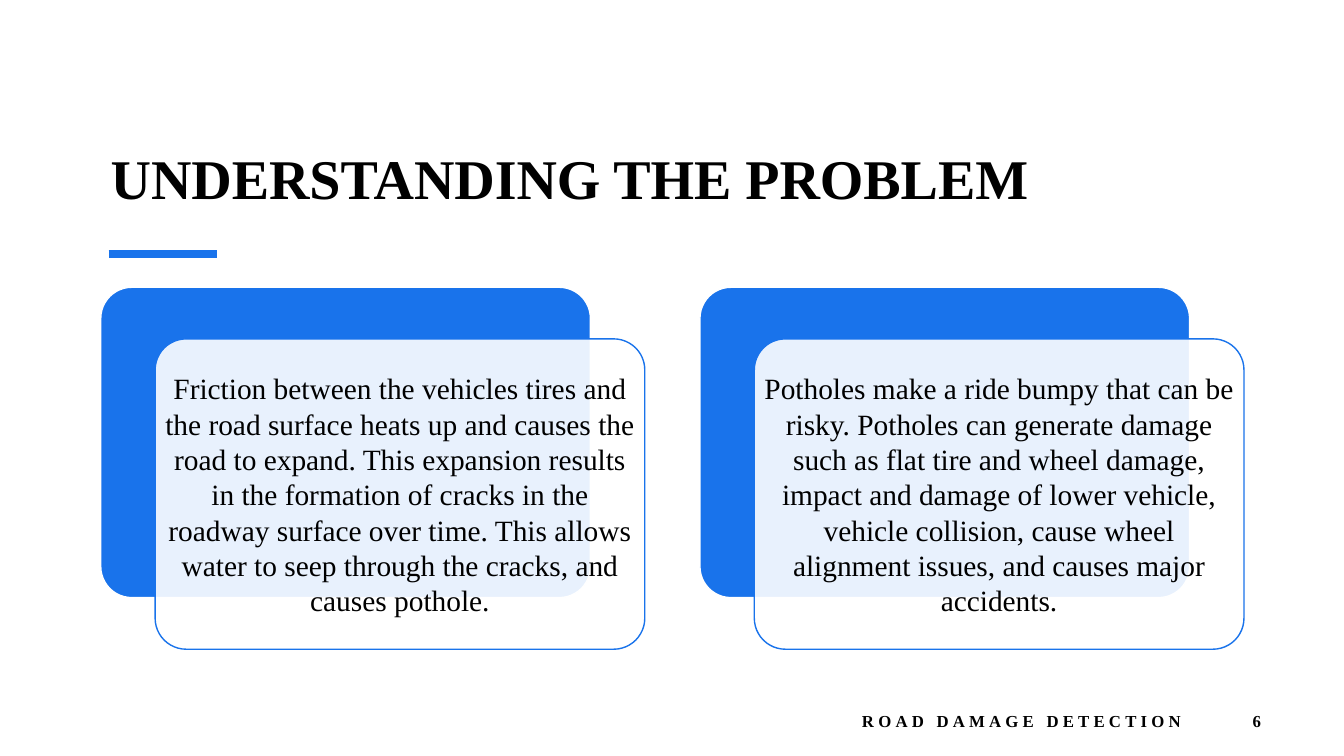
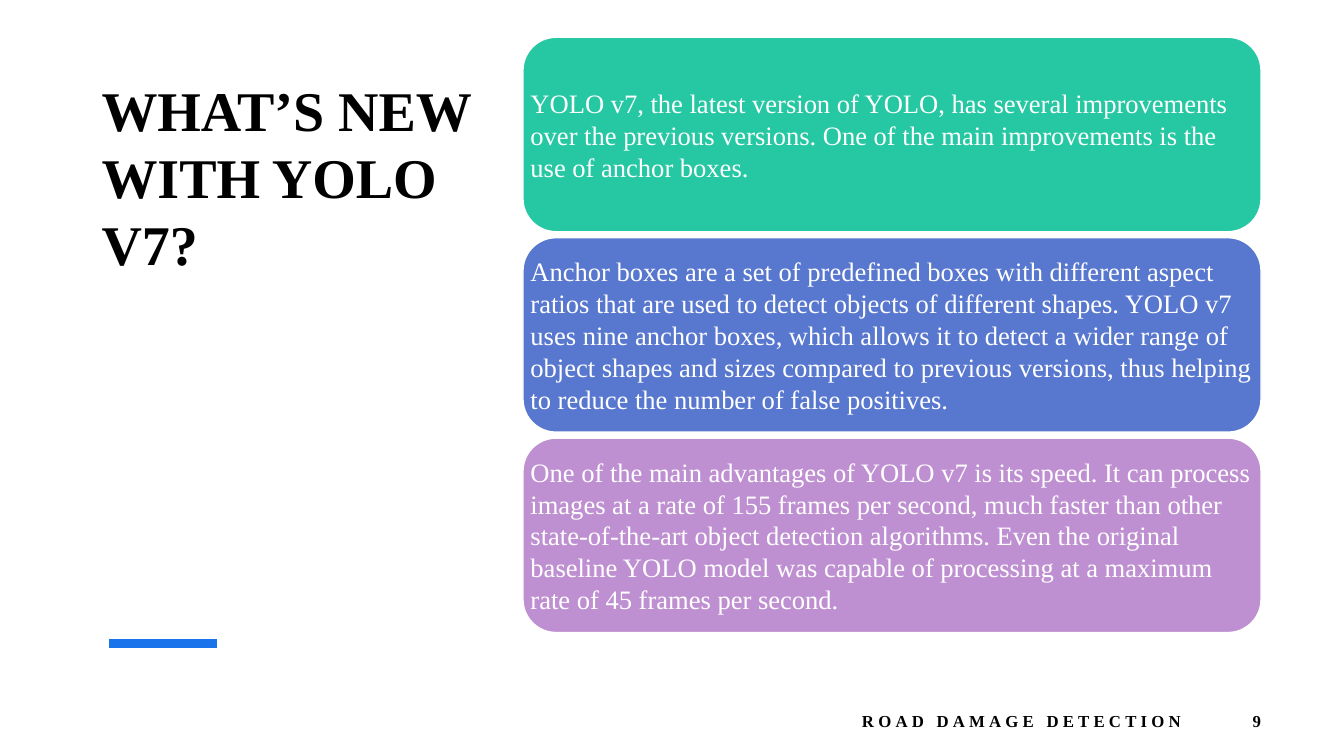
from lxml.etree import SubElement
from pptx import Presentation
from pptx.dml.color import RGBColor
from pptx.enum.shapes import MSO_CONNECTOR, MSO_SHAPE
from pptx.enum.text import MSO_ANCHOR, PP_ALIGN
from pptx.oxml.ns import qn
from pptx.util import Cm, Pt

BLACK = RGBColor(0x00, 0x00, 0x00)
WHITE = RGBColor(0xFF, 0xFF, 0xFF)
BLUE = RGBColor(0x19, 0x73, 0xEB)
GREEN = RGBColor(0x25, 0xC8, 0xA2)
INDIGO = RGBColor(0x58, 0x77, 0xCF)
LILAC = RGBColor(0xBF, 0x90, 0xD1)
FONT = "Times New Roman"
FOOTER = "ROAD DAMAGE DETECTION"

PROBLEMS = [
    "Friction between the vehicles tires and the road surface heats up and causes "
    "the road to expand. This expansion results in the formation of cracks in the "
    "roadway surface over time. This allows water to seep through the cracks, and "
    "causes pothole.",
    "Potholes make a ride bumpy that can be risky. Potholes can generate damage "
    "such as flat tire and wheel damage, impact and damage of lower vehicle, "
    "vehicle collision, cause wheel alignment issues, and causes major accidents.",
]
NEWS = [
    (GREEN,
     "YOLO v7, the latest version of YOLO, has several improvements over the "
     "previous versions. One of the main improvements is the use of anchor boxes."),
    (INDIGO,
     "Anchor boxes are a set of predefined boxes with different aspect ratios that "
     "are used to detect objects of different shapes. YOLO v7 uses nine anchor "
     "boxes, which allows it to detect a wider range of object shapes and sizes "
     "compared to previous versions, thus helping to reduce the number of false "
     "positives."),
    (LILAC,
     "One of the main advantages of YOLO v7 is its speed. It can process images at "
     "a rate of 155 frames per second, much faster than other state-of-the-art "
     "object detection algorithms. Even the original baseline YOLO model was "
     "capable of processing at a maximum rate of 45 frames per second."),
]


def add_text(s, box, text, size, color=BLACK, bold=False, align=PP_ALIGN.LEFT,
             anchor=MSO_ANCHOR.MIDDLE, inset=None, spacing=None):
    sp = s.shapes.add_textbox(*map(Cm, box))
    tf = sp.text_frame
    tf.word_wrap = True
    tf.vertical_anchor = anchor
    if inset is not None:
        tf.margin_left = tf.margin_right = Cm(inset)
        tf.margin_top = tf.margin_bottom = Cm(inset)
    p = tf.paragraphs[0]
    p.alignment = align
    p.line_spacing = Pt(size * 1.2)
    r = p.add_run()
    r.text = text
    r.font.name = FONT
    r.font.size = Pt(size)
    r.font.bold = bold
    r.font.color.rgb = color
    if spacing:
        r._r.get_or_add_rPr().set("spc", str(spacing * 100))


def add_panel(s, box, fill, line=WHITE, radius=0.1, opacity=100):
    sp = s.shapes.add_shape(MSO_SHAPE.ROUNDED_RECTANGLE, *map(Cm, box))
    sp.adjustments[0] = radius
    sp.shadow.inherit = False
    sp.fill.solid()
    sp.fill.fore_color.rgb = fill
    sp.line.color.rgb = line
    sp.line.width = Pt(1)
    if opacity < 100:
        color = sp._element.spPr.find(qn("a:solidFill")).find(qn("a:srgbClr"))
        SubElement(color, qn("a:alpha")).set("val", str(opacity * 1000))


def add_accent(s, y):
    line = s.shapes.add_connector(
        MSO_CONNECTOR.STRAIGHT, Cm(2.74), Cm(y), Cm(5.46), Cm(y))
    line.line.color.rgb = BLUE
    line.line.width = Pt(6)
    SubElement(line._element.spPr, qn("a:effectLst"))


def add_page(prs, title, title_box, accent_y, number):
    s = prs.slides.add_slide(prs.slide_layouts[6])
    add_text(s, title_box, title, 40, bold=True, anchor=MSO_ANCHOR.BOTTOM)
    add_accent(s, accent_y)
    for left, width, text in ((30.02, 2.01, str(number)), (18.8, 11.22, FOOTER)):
        add_text(s, (left, 17.65, width, 1.02), text, 12, bold=True,
                 align=PP_ALIGN.RIGHT, spacing=3)
    return s


def add_problem_cards(s):
    width, height = 12.34, 7.82
    for i, text in enumerate(PROBLEMS):
        left, top = 2.54 + i * 15.1, 7.24
        front = (left + 1.37, top + 1.3, width, height)
        add_panel(s, (left, top, width, height), BLUE)
        add_panel(s, front, WHITE, BLUE, opacity=90)
        add_text(s, front, text, 21, align=PP_ALIGN.CENTER, inset=0.23)


def add_news_panels(s):
    for i, (fill, text) in enumerate(NEWS):
        box = (13.18, 0.94 + i * 5.05, 18.6, 4.9)
        add_panel(s, box, fill, radius=0.17)
        add_text(s, box, text, 19, WHITE, inset=0.19)


def main():
    prs = Presentation()
    prs.slide_width, prs.slide_height = Cm(33.87), Cm(19.05)
    s = add_page(prs, "UNDERSTANDING THE PROBLEM",
                 (2.54, 1.57, 28.91, 3.86), 6.4, 6)
    add_problem_cards(s)
    s = add_page(prs, "WHAT’S NEW WITH YOLO V7?",
                 (2.31, 1.75, 10.64, 5.36), 16.21, 9)
    add_news_panels(s)
    prs.save("out.pptx")


if __name__ == "__main__":
    main()
